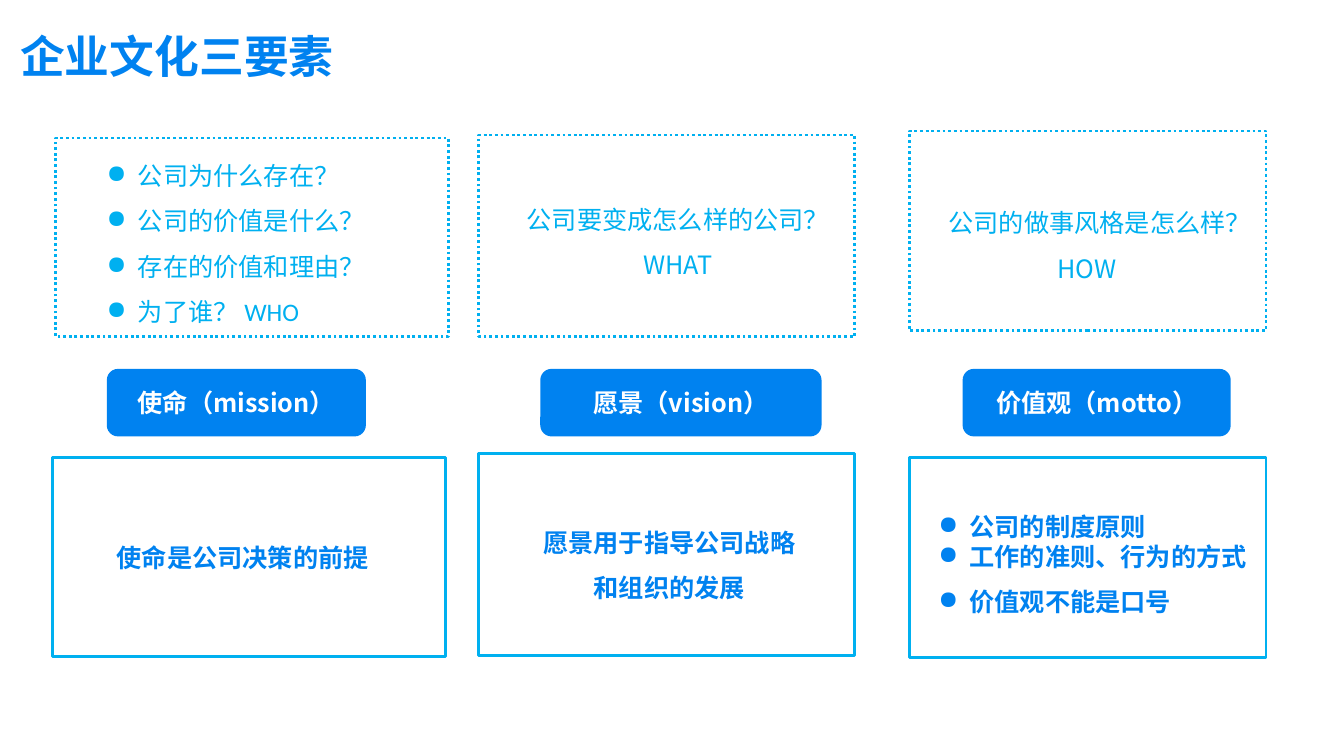
import dataclasses
import typing

import lxml.etree
import pptx
import pptx.dml.color
import pptx.enum.dml
import pptx.enum.shapes
import pptx.enum.text
import pptx.oxml.ns
import pptx.util

Align = pptx.enum.text.PP_ALIGN
Anchor = pptx.enum.text.MSO_ANCHOR
AutoSize = pptx.enum.text.MSO_AUTO_SIZE
Preset = pptx.enum.shapes.MSO_SHAPE
Dash = pptx.enum.dml.MSO_LINE

CELL = pptx.util.Inches(0.1)
COLUMNS, ROWS = 133.33, 75


@dataclasses.dataclass(frozen=True)
class Theme:
    strong: str = "0082F0"
    light: str = "00B0F0"
    white: str = "FFFFFF"
    latin: str = "Calibri"
    east_asian: str = "Noto Sans CJK SC"
    title_size: int = 32
    body_size: int = 18
    border: int = 2
    bullet: str = "●"
    indent: float = 3.1


THEME = Theme()


@dataclasses.dataclass(frozen=True)
class Area:
    column: float
    row: float
    columns: float
    rows: float

    def lengths(self) -> list[int]:
        return [round(cells * CELL) for cells in dataclasses.astuple(self)]


@dataclasses.dataclass(frozen=True)
class Style:
    color: str
    bold: bool = False
    size: int = THEME.body_size
    font: str = THEME.latin
    align: Align = Align.LEFT
    bullets: bool = False


@dataclasses.dataclass(frozen=True)
class Line:
    text: str
    spacing: float = 1.5


@dataclasses.dataclass(frozen=True)
class Note:
    area: Area
    style: Style
    lines: tuple[Line, ...]
    grows: bool = True


@dataclasses.dataclass(frozen=True)
class Pillar:
    name: str
    badge: Area
    question_panel: Area
    question: Note
    answer_panel: Area
    answer: Note


TITLE_STYLE = Style(THEME.strong, bold=True, size=THEME.title_size)
BADGE_STYLE = Style(THEME.white, bold=True, font=THEME.east_asian, align=Align.CENTER)
QUESTION_STYLE = Style(THEME.light, font=THEME.east_asian, align=Align.CENTER)
QUESTION_LIST = Style(THEME.light, bullets=True)
ANSWER_STYLE = Style(THEME.strong, bold=True)
ANSWER_CENTERED = dataclasses.replace(ANSWER_STYLE, align=Align.CENTER)
ANSWER_LIST = dataclasses.replace(ANSWER_STYLE, bullets=True)

TITLE = Note(Area(1, 2.4, 43.8, 6.3), TITLE_STYLE, (Line("企业文化三要素", 1),))

PILLARS = (
    Pillar(
        "使命（mission）",
        Area(10.6, 36.6, 25.7, 6.7),
        Area(5.5, 13.7, 39, 19.7),
        Note(
            Area(9.6, 13.9, 32.7, 19.2),
            QUESTION_LIST,
            (
                Line("公司为什么存在？"),
                Line("公司的价值是什么？"),
                Line("存在的价值和理由？"),
                Line("为了谁？ WHO"),
            ),
        ),
        Area(5.2, 45.4, 39, 19.7),
        Note(Area(10.6, 53.3, 30.7, 4), ANSWER_STYLE, (Line("使命是公司决策的前提", 1),)),
    ),
    Pillar(
        "愿景（vision）",
        Area(53.6, 36.6, 27.9, 6.7),
        Area(47.5, 13.4, 37.3, 20),
        Note(
            Area(50.9, 19.7, 32.7, 7.1),
            QUESTION_STYLE,
            (Line("公司要变成怎么样的公司？"), Line("WHAT")),
            grows=False,
        ),
        Area(47.5, 45, 37.3, 20),
        Note(
            Area(52.6, 50.3, 27.6, 9.6),
            ANSWER_CENTERED,
            (Line("愿景用于指导公司战略和组织的发展"),),
        ),
    ),
    Pillar(
        "价值观（motto）",
        Area(95.5, 36.6, 26.6, 6.7),
        Area(90.2, 13, 35.4, 19.8),
        Note(
            Area(92, 18.6, 31.7, 10.1),
            QUESTION_STYLE,
            (Line("公司的做事风格是怎么样？"), Line("HOW")),
        ),
        Area(90.2, 45.4, 35.4, 19.8),
        Note(
            Area(92.1, 48.7, 34.4, 13.1),
            ANSWER_LIST,
            (
                Line("公司的制度原则"),
                Line("工作的准则、行为的方式", 1),
                Line("价值观不能是口号"),
            ),
        ),
    ),
)


def rgb(color: str) -> pptx.dml.color.RGBColor:
    return pptx.dml.color.RGBColor.from_string(color)


def add_child(parent: typing.Any, tag: str, **attributes: str) -> None:
    lxml.etree.SubElement(parent, pptx.oxml.ns.qn(tag), attributes)


def write_lines(frame: typing.Any, lines: tuple[Line, ...], style: Style) -> None:
    frame.word_wrap = True
    for index, line in enumerate(lines):
        para = frame.add_paragraph() if index else frame.paragraphs[0]
        para.alignment = style.align
        para.line_spacing = line.spacing
        if style.bullets:
            properties = para._p.get_or_add_pPr()
            indent = round(THEME.indent * CELL)
            properties.set("marL", str(indent))
            properties.set("indent", str(-indent))
            add_child(properties, "a:buChar", char=THEME.bullet)
        span = para.add_run()
        span.text = line.text
        span.font.name = style.font
        span.font.size = pptx.util.Pt(style.size)
        span.font.bold = style.bold
        span.font.color.rgb = rgb(style.color)
        add_child(span._r.get_or_add_rPr(), "a:ea", typeface=THEME.east_asian)


def add_panel(page: typing.Any, area: Area, dash: typing.Optional[Dash] = None) -> None:
    panel = page.shapes.add_shape(Preset.RECTANGLE, *area.lengths())
    panel.shadow.inherit = False
    panel.fill.background()
    panel.line.color.rgb = rgb(THEME.light)
    panel.line.width = pptx.util.Pt(THEME.border)
    if dash is not None:
        panel.line.dash_style = dash


def add_badge(page: typing.Any, area: Area, name: str) -> None:
    badge = page.shapes.add_shape(Preset.ROUNDED_RECTANGLE, *area.lengths())
    badge.shadow.inherit = False
    badge.fill.solid()
    badge.fill.fore_color.rgb = rgb(THEME.strong)
    badge.line.fill.background()
    badge.text_frame.vertical_anchor = Anchor.MIDDLE
    write_lines(badge.text_frame, (Line(name, 1),), BADGE_STYLE)


def add_note(page: typing.Any, note: Note) -> None:
    box = page.shapes.add_textbox(*note.area.lengths())
    frame = box.text_frame
    frame.auto_size = AutoSize.SHAPE_TO_FIT_TEXT if note.grows else AutoSize.NONE
    frame.vertical_anchor = Anchor.TOP if note.grows else Anchor.MIDDLE
    write_lines(frame, note.lines, note.style)


def main() -> None:
    deck = pptx.Presentation()
    deck.slide_width = round(COLUMNS * CELL)
    deck.slide_height = ROWS * CELL
    page = deck.slides.add_slide(deck.slide_layouts[6])
    add_note(page, TITLE)
    for pillar in PILLARS:
        add_panel(page, pillar.question_panel, Dash.ROUND_DOT)
        add_note(page, pillar.question)
        add_badge(page, pillar.badge, pillar.name)
        add_panel(page, pillar.answer_panel)
        add_note(page, pillar.answer)
    deck.save("out.pptx")


if __name__ == "__main__":
    main()
